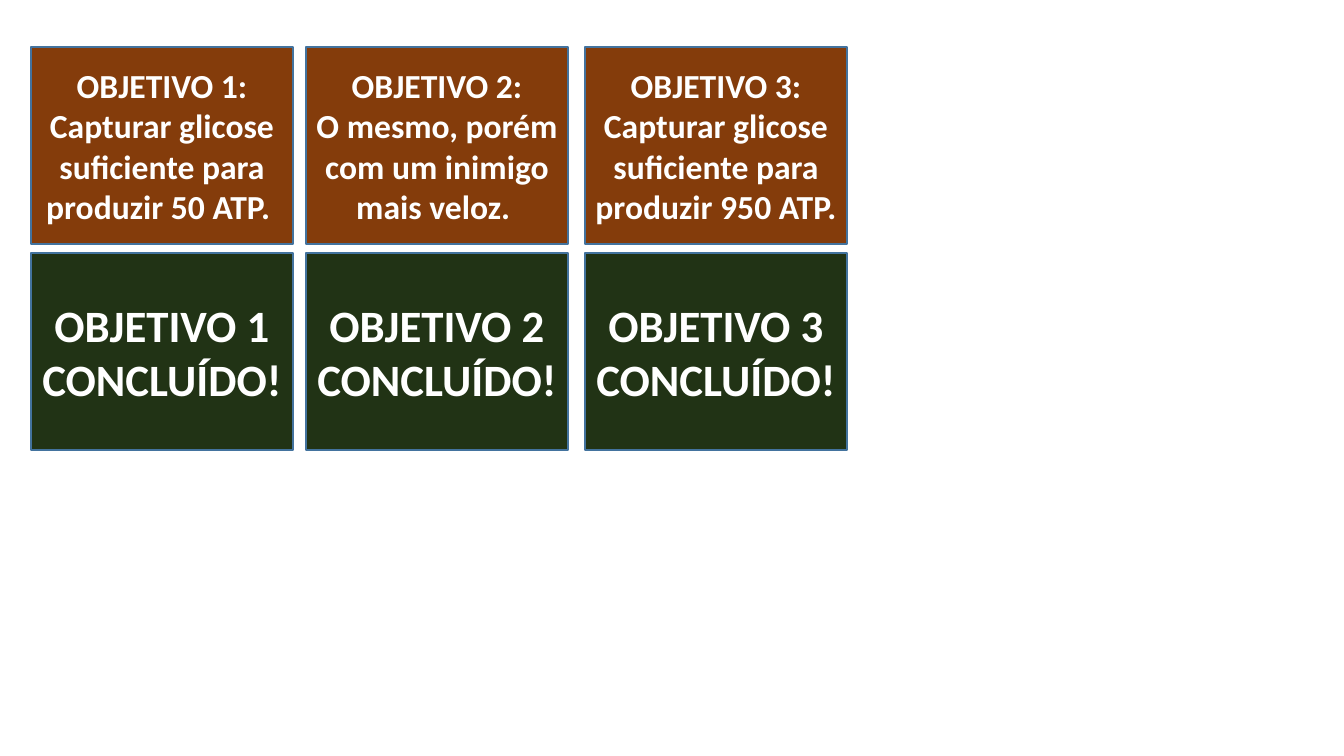
from dataclasses import dataclass

from pptx import Presentation
from pptx.dml.color import RGBColor as Rgb
from pptx.enum.shapes import MSO_SHAPE as Shape
from pptx.enum.text import MSO_ANCHOR as Anchor, PP_ALIGN as Align
from pptx.slide import Slide
from pptx.text.text import TextFrame as Frame
from pptx.util import Emu, Pt


@dataclass(frozen=True)
class Theme:
    goal: str = "843C0B"
    done: str = "213315"
    edge: str = "43739E"
    ink: str = "FFFFFF"
    font: str = "Calibri"
    body: int = 24
    big: int = 32


@dataclass(frozen=True)
class Card:
    left: int
    top: int
    fill: str
    size: int
    lines: tuple[str, ...]


THEME = Theme()
WIDE, HIGH = 262, 197
GOAL_TOP, DONE_TOP = 47, 253

# Left edge and task of each goal
GOALS = (
    (31, "Capturar glicose suficiente para produzir 50 ATP. "),
    (306, "O mesmo, porém com um inimigo mais veloz. "),
    (585, "Capturar glicose suficiente para produzir 950 ATP. "),
)


def px(count: int) -> Emu:
    return Emu(round(count * 914400 / 100.8))


def write(frame: Frame, lines: tuple[str, ...], *, size: int, color: str,
          bold: bool = True) -> None:
    frame.word_wrap = True
    frame.vertical_anchor = Anchor.MIDDLE
    for i, line in enumerate(lines):
        para = frame.add_paragraph() if i else frame.paragraphs[0]
        para.alignment = Align.CENTER
        run = para.add_run()
        run.text = line
        font = run.font
        font.name, font.size, font.bold = THEME.font, Pt(size), bold
        font.color.rgb = Rgb.from_string(color)


def draw(slide: Slide, card: Card) -> None:
    box = slide.shapes.add_shape(Shape.RECTANGLE, px(card.left), px(card.top),
                                 px(WIDE), px(HIGH))
    box.shadow.inherit = False
    box.fill.solid()
    box.fill.fore_color.rgb = Rgb.from_string(card.fill)
    box.line.color.rgb = Rgb.from_string(THEME.edge)
    box.line.width = Pt(1)
    write(box.text_frame, card.lines, size=card.size, color=THEME.ink)


def main() -> None:
    deck = Presentation()
    deck.slide_width, deck.slide_height = px(1344), px(756)
    slide = deck.slides.add_slide(deck.slide_layouts[6])

    # One column per goal: the task above, its completion below
    for num, (left, task) in enumerate(GOALS, 1):
        name = f"OBJETIVO {num}"
        draw(slide, Card(left, GOAL_TOP, THEME.goal, THEME.body,
                         (f"{name}:", task)))
        draw(slide, Card(left, DONE_TOP, THEME.done, THEME.big,
                         (name, "CONCLUÍDO!")))

    deck.save("out.pptx")


if __name__ == "__main__":
    main()
